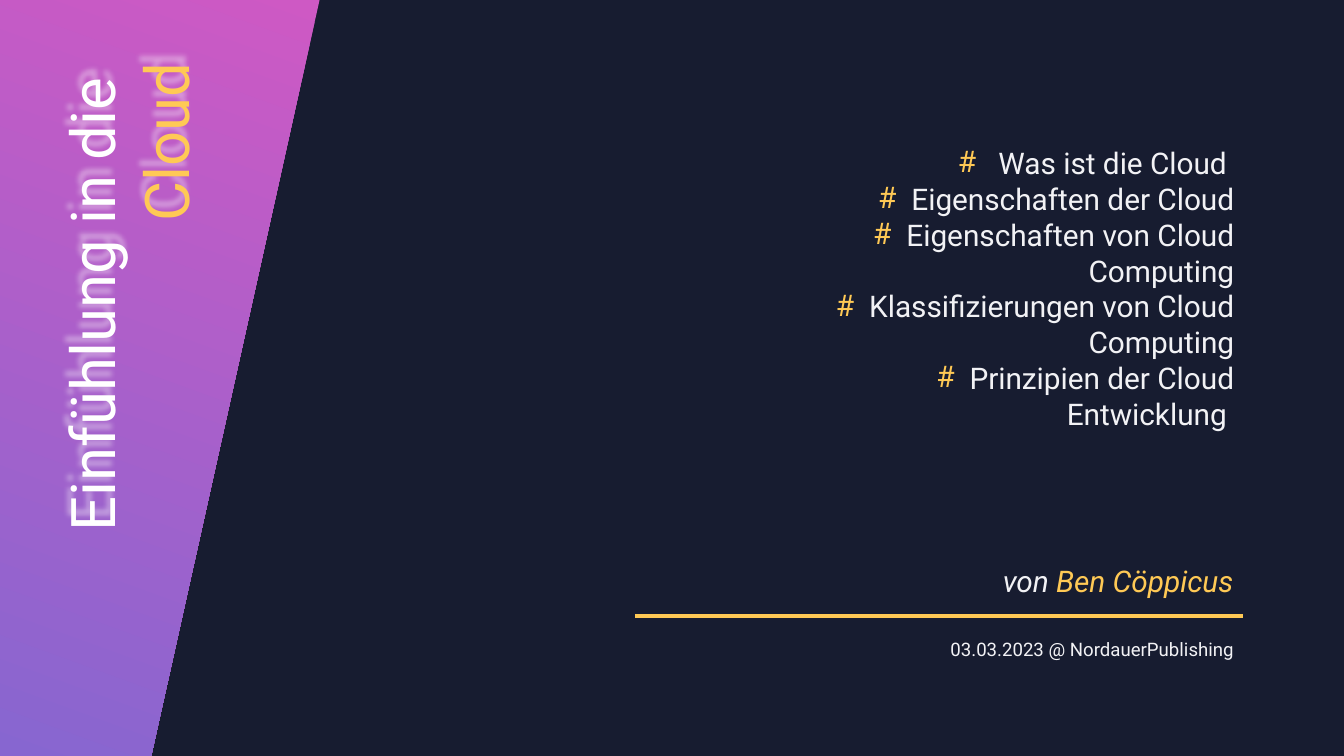
from lxml.etree import SubElement
from pptx import Presentation
from pptx.dml.color import RGBColor
from pptx.enum.shapes import MSO_CONNECTOR
from pptx.enum.text import PP_ALIGN
from pptx.oxml.ns import qn
from pptx.util import Inches, Pt

NAVY = RGBColor(0x17, 0x1C, 0x30)
PINK = RGBColor(0xCE, 0x59, 0xC4)
PURPLE = RGBColor(0x87, 0x66, 0xD0)
GOLD = RGBColor(0xFF, 0xC9, 0x55)
WHITE = RGBColor(0xFF, 0xFF, 0xFF)
PALE = RGBColor(0xF2, 0xF2, 0xF5)
FONT = "Roboto"
TOPICS = [
    " Was ist die Cloud ",
    "Eigenschaften der Cloud",
    "Eigenschaften von Cloud Computing",
    "Klassifizierungen von Cloud Computing",
    "Prinzipien der Cloud Entwicklung ",
]


def add_text(slide, left, top, width, height, lines, size):
    box = slide.shapes.add_textbox(
        Inches(left), Inches(top), Inches(width), Inches(height))
    frame = box.text_frame
    frame.word_wrap = True
    for num, runs in enumerate(lines):
        par = frame.add_paragraph() if num else frame.paragraphs[0]
        par.alignment = PP_ALIGN.RIGHT
        for text, color in runs:
            run = par.add_run()
            run.text = text
            run.font.name = FONT
            run.font.size = Pt(size)
            run.font.color.rgb = color
    return box


def add_glow(box):
    effects = SubElement(box.element.spPr, qn("a:effectLst"))
    shadow = SubElement(
        effects, qn("a:outerShdw"), blurRad=str(Pt(4)), dist=str(Pt(8.4)),
        dir=str(250 * 60000), algn="ctr", rotWithShape="0")
    color = SubElement(shadow, qn("a:srgbClr"), val=str(WHITE))
    SubElement(color, qn("a:alpha"), val="40000")


def add_bullet(par):
    props = par._p.get_or_add_pPr()
    props.set("marL", str(Inches(0.33)))
    props.set("indent", str(Inches(-0.33)))
    color = SubElement(props, qn("a:buClr"))
    SubElement(color, qn("a:srgbClr"), val=str(GOLD))
    SubElement(props, qn("a:buFont"), typeface=FONT)
    SubElement(props, qn("a:buChar"), char="#")


def add_banner(slide, left, top, width, height):
    shapes = slide.shapes
    path = shapes.build_freeform(
        Inches(left), Inches(top))
    path.add_line_segments([
        (Inches(left + width), Inches(top)),
        (Inches(left + 1.5), Inches(top + height)),
        (Inches(left), Inches(top + height)),
    ], close=True)
    band = path.convert_to_shape()
    band.shadow.inherit = False
    band.line.fill.background()
    band.fill.gradient()
    band.fill.gradient_angle = 250
    for stop, color in zip(band.fill.gradient_stops, (PINK, PURPLE)):
        stop.color.rgb = color
    title = add_text(
        slide, left - 1.55, top + 2.56, 5.65, 1.58,
        [[("Einfühlung in die ", WHITE)], [("Cloud", GOLD)]], 44)
    title.rotation = 270
    add_glow(title)


def add_topics(slide, left, top, width, height):
    lines = [[(topic, PALE)] for topic in TOPICS]
    box = add_text(slide, left, top, width, height, lines, 21.3)
    for par in box.text_frame.paragraphs:
        add_bullet(par)


def add_credit(slide, left, top, width):
    right = left + width
    rule = slide.shapes.add_connector(
        MSO_CONNECTOR.STRAIGHT,
        Inches(left), Inches(top + 0.58), Inches(right), Inches(top + 0.58))
    rule.line.color.rgb = GOLD
    rule.line.width = Pt(3)
    SubElement(rule.element.spPr, qn("a:effectLst"))
    author = add_text(
        slide, right - 4.44, top, 4.44, 0.46,
        [[("von ", PALE), ("Ben Cöppicus", GOLD)]], 21.3)
    for run in author.text_frame.paragraphs[0].runs:
        run.font.italic = True
    add_text(
        slide, right - 5.05, top + 0.75, 5.06, 0.33,
        [[("03.03.2023 @ NordauerPublishing", PALE)]], 13.3)


def main():
    deck = Presentation()
    deck.slide_width = Inches(13.33)
    deck.slide_height = Inches(7.5)
    slide = deck.slides.add_slide(deck.slide_layouts[6])
    slide.background.fill.solid()
    slide.background.fill.fore_color.rgb = NAVY
    add_banner(slide, 0, 0, 3.17, 7.5)
    add_topics(slide, 8.17, 1.39, 4.17, 2.97)
    add_credit(slide, 6.3, 5.53, 6.03)
    deck.save("out.pptx")


if __name__ == "__main__":
    main()
